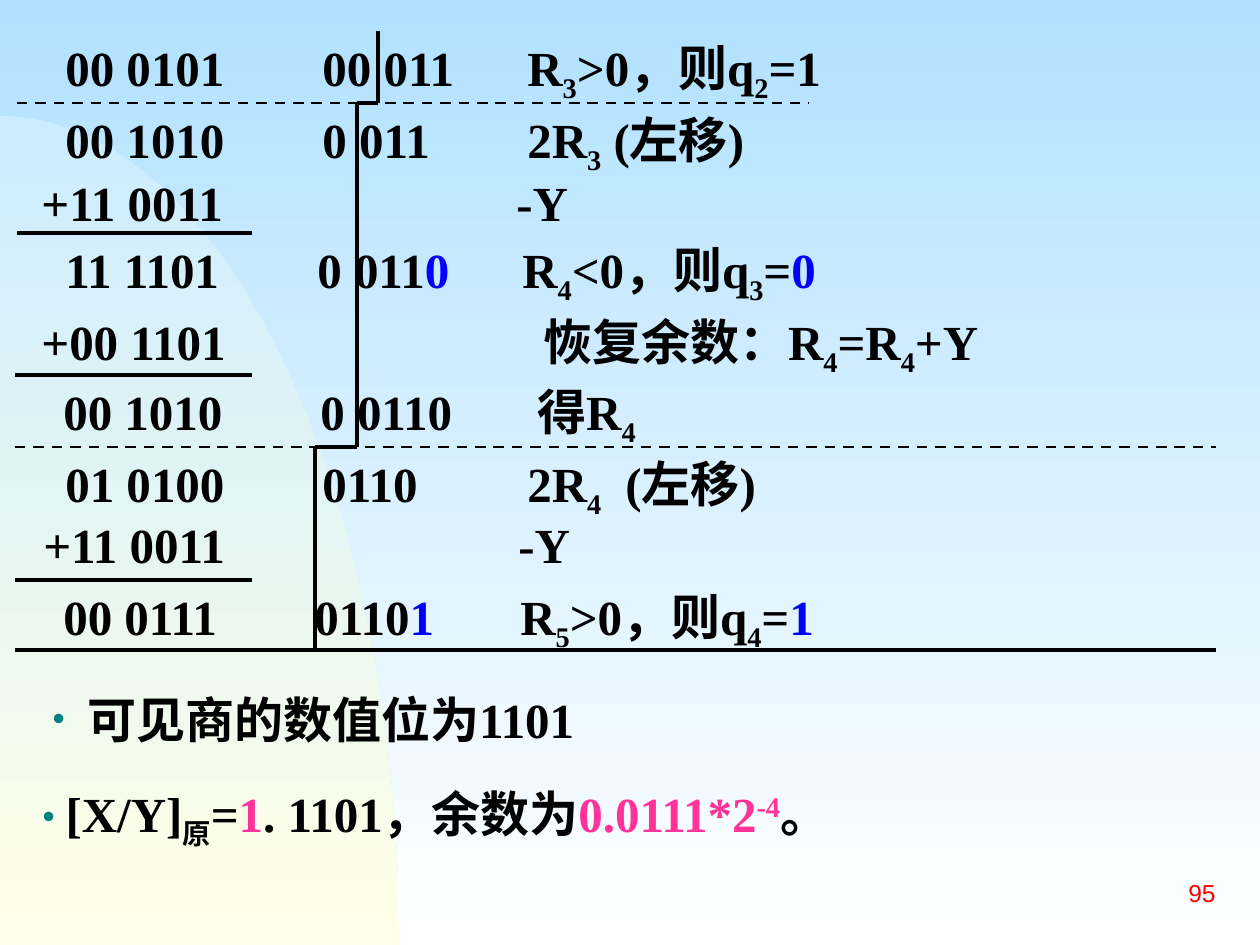
from itertools import pairwise
from math import cos, pi, sin

from lxml.etree import SubElement
from pptx import Presentation
from pptx.dml.color import RGBColor
from pptx.enum.dml import MSO_LINE
from pptx.enum.shapes import MSO_CONNECTOR
from pptx.enum.text import MSO_ANCHOR, MSO_AUTO_SIZE, PP_ALIGN
from pptx.oxml.ns import qn
from pptx.util import Emu, Inches, Pt

COLORS = {"ink": "000000", "quotient": "0000FF", "result": "FF3399",
          "bullet": "008080", "number": "FF0000", "sky": "B1E1FF",
          "white": "FFFFFF", "pale": "CCECFF", "cream": "FFFFE7"}
BASELINES = {"sub": -25000, "super": 30000}
INSET = 13  # left text inset of a box, in px

# Division steps: left, top, tab positions on the slide, text pieces
STEPS = [
    (17, 31, (66, 323, 528), ["\t00 0101\t00 011\tR", ("3", "sub"), ">0，则q", ("2", "sub"), "=1"]),
    (17, 103, (66, 323, 528), ["\t00 1010\t0 011\t2R", ("3", "sub"), " (左移)"]),
    (17, 166, (42, 517), ["\t+11 0011\t-Y"]),
    (17, 233, (66, 318, 523), ["\t11 1101\t0 011", ("0", "quotient"), "\tR", ("4", "sub"),
                               "<0，则q", ("3", "sub"), "=", ("0", "quotient")]),
    (17, 305, (42, 544), ["\t+00 1101\t恢复余数：R", ("4", "sub"), "=R", ("4", "sub"), "+Y"]),
    (15, 375, (64, 321, 538), ["\t00 1010\t0 0110\t得R", ("4", "sub")]),
    (17, 447, (66, 323, 528, 626), ["\t01 0100\t0110\t2R", ("4", "sub"), "\t(左移)"]),
    (19, 508, (44, 519), ["\t+11 0011\t-Y"]),
    (15, 580, (64, 315, 521), ["\t00 0111\t0110", ("1", "quotient"), "\tR", ("5", "sub"),
                               ">0，则q", ("4", "sub"), "=", ("1", "quotient")]),
]
# Rules: left, right, height on the slide, width in points, dashed
RULES = [(17, 809, 103, 1.5, True), (17, 252, 233, 2, False), (15, 252, 375, 2, False),
         (15, 1216, 447, 1.5, True), (15, 252, 580, 2, False), (15, 1216, 650, 2, False)]
# Staircase that separates the quotient from the dividend
STAIRCASE = [(378, 31), (378, 103), (357, 103), (357, 447), (315, 447), (315, 650)]
# Conclusions: top, bullet position, text position, text pieces
CONCLUSIONS = [
    (683, 53, 88, ["可见商的数值位为1101"]),
    (777, 43, 66, ["[X/Y]", ("原", "sub"), "=", ("1", "result"), ". 1101，余数为",
                   ("0.0111*2", "result"), ("-4", "result", "super"), "。"]),
]


def px(length):
    return Emu(round(length * 914400 / 126))


def color(name):
    return RGBColor.from_string(COLORS[name])


def fill_downwards(fill, top, bottom):
    fill.gradient()
    fill.gradient_angle = 270
    for stop, name in zip(fill.gradient_stops, (top, bottom)):
        stop.color.rgb = color(name)


def place(shape, left, top, width, height):
    shape.left, shape.top = px(left), px(top)
    shape.width, shape.height = px(width), px(height)


def write_pieces(paragraph, pieces):
    for piece in pieces:
        text, *styles = (piece,) if isinstance(piece, str) else piece
        run = paragraph.add_run()
        run.text = text
        run.font.name, run.font.size, run.font.bold = "Times New Roman", Pt(28), True
        run.font.color.rgb = color("ink")
        for style in styles:
            if style in BASELINES:
                run.font._element.set("baseline", str(BASELINES[style]))
            else:
                run.font.color.rgb = color(style)


def draw_line(slide, start, end, width=2, dashed=False):
    line = slide.shapes.add_connector(MSO_CONNECTOR.STRAIGHT, *map(px, start + end))
    line.line.color.rgb = color("ink")
    line.line.width = Pt(width)
    if dashed:
        line.line.dash_style = MSO_LINE.DASH
    SubElement(line._element.spPr, qn("a:effectLst"))


def draw_background(slide, width, height, top):
    fill_downwards(slide.background.fill, "sky", "white")
    # Quarter ellipse in the lower left corner
    bottom = top + height
    angles = [pi / 2 * step / 60 for step in range(61)]
    arc = [(px(width * sin(angle)), px(bottom - height * cos(angle))) for angle in angles]
    builder = slide.shapes.build_freeform(*arc[0])
    builder.add_line_segments(arc[1:] + [(0, px(bottom))], close=True)
    shape = builder.convert_to_shape()
    shape.shadow.inherit = False
    shape.line.fill.background()
    fill_downwards(shape.fill, "pale", "cream")


def add_step(slide, left, top, tabs, pieces):
    box = slide.shapes.add_textbox(px(left), px(top), px(1211), px(79))
    box.text_frame.word_wrap = True
    paragraph = box.text_frame.paragraphs[0]
    tab_list = SubElement(paragraph._p.get_or_add_pPr(), qn("a:tabLst"))
    for tab in tabs:
        SubElement(tab_list, qn("a:tab"), pos=str(px(tab - left - INSET)), algn="l")
    write_pieces(paragraph, pieces)


def add_conclusion(shape, top, bullet_left, text_left, pieces):
    left = 15
    place(shape, left, top, 1211, 79)
    frame = shape.text_frame
    frame.auto_size = MSO_AUTO_SIZE.NONE
    paragraph = frame.paragraphs[0]
    paragraph.space_before = Pt(0)
    properties = paragraph._p.get_or_add_pPr()
    properties.set("marL", str(px(text_left - left - INSET)))
    properties.set("indent", str(px(bullet_left - text_left)))
    bullet_color = SubElement(properties, qn("a:buClr"))
    SubElement(bullet_color, qn("a:srgbClr"), val=COLORS["bullet"])
    SubElement(properties, qn("a:buSzPct"), val="71000")
    SubElement(properties, qn("a:buFont"), typeface="Arial")
    SubElement(properties, qn("a:buChar"), char="•")
    write_pieces(paragraph, pieces)


def add_slide_number(slide, left, top, width, height):
    box = slide.shapes.add_textbox(px(left), px(top), px(width), px(height))
    frame = box.text_frame
    frame.text = "95"
    frame.word_wrap = True
    frame.vertical_anchor = MSO_ANCHOR.MIDDLE
    frame.paragraphs[0].alignment = PP_ALIGN.RIGHT
    font = frame.paragraphs[0].runs[0].font
    font.name, font.size = "Arial", Pt(14)
    font.color.rgb = color("number")


def main():
    presentation = Presentation()
    presentation.slide_width, presentation.slide_height = Inches(10), Inches(7.5)
    slide = presentation.slides.add_slide(presentation.slide_layouts[3])
    title, *bodies = slide.placeholders
    title._element.getparent().remove(title._element)

    draw_background(slide, 399, 829, 116)
    # Put the conclusions in front of the background shape
    for body, conclusion in zip(bodies, CONCLUSIONS):
        slide.shapes._spTree.append(body._element)
        add_conclusion(body, *conclusion)
    for step in STEPS:
        add_step(slide, *step)
    for left, right, y, width, dashed in RULES:
        draw_line(slide, (left, y), (right, y), width, dashed)
    for start, end in pairwise(STAIRCASE):
        draw_line(slide, start, end)
    add_slide_number(slide, 966, 861, 262, 63)
    presentation.save("out.pptx")


if __name__ == "__main__":
    main()
